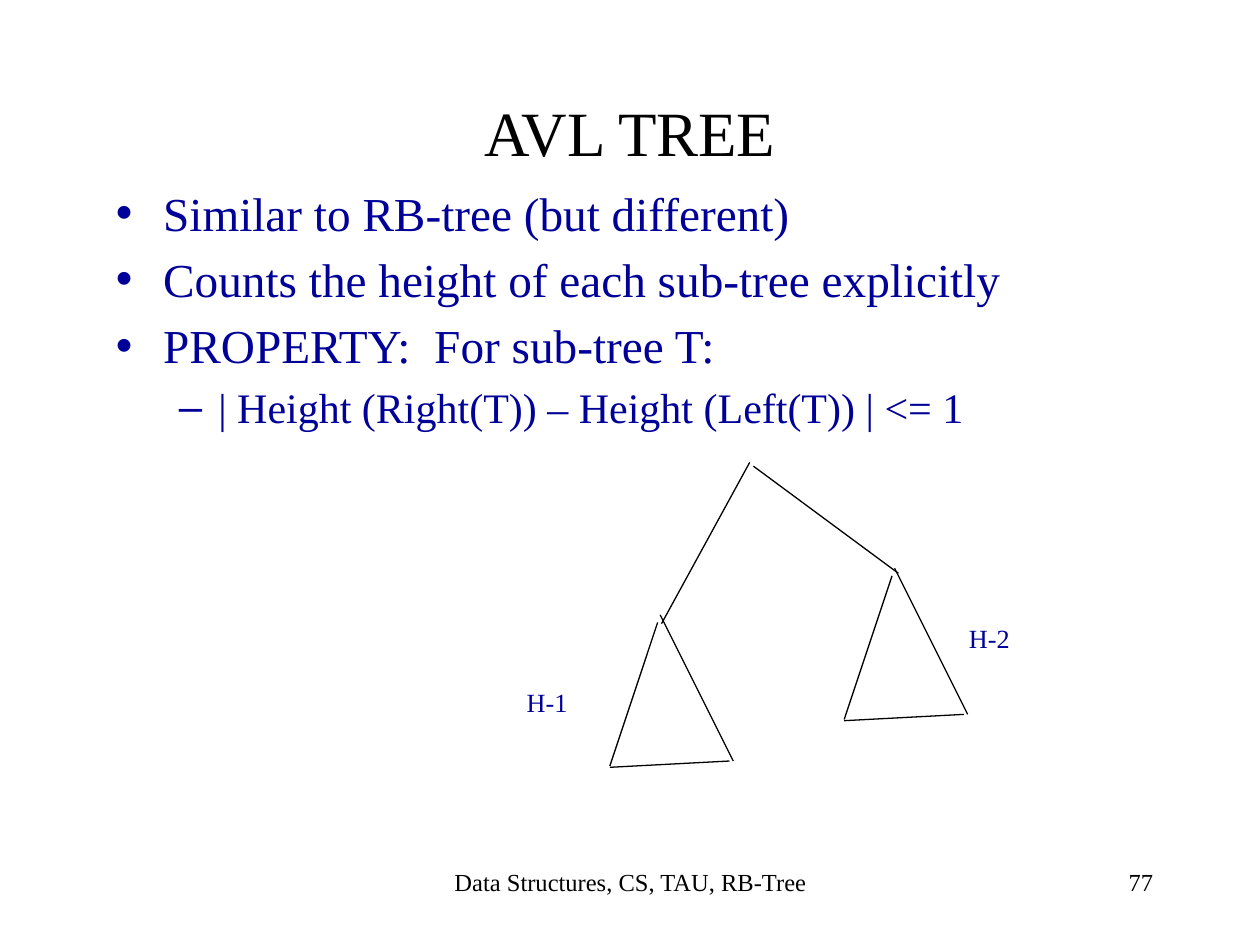
from lxml.etree import SubElement
from pptx import Presentation
from pptx.dml.color import RGBColor
from pptx.enum.shapes import MSO_CONNECTOR
from pptx.enum.text import MSO_ANCHOR, MSO_AUTO_SIZE, PP_ALIGN
from pptx.oxml.ns import qn
from pptx.util import Inches, Pt

BLACK = RGBColor(0x00, 0x00, 0x00)
NAVY = RGBColor(0x00, 0x00, 0x99)
FONT = "Times New Roman"

deck = Presentation()
deck.slide_width, deck.slide_height = Inches(10), Inches(7.5)
slide = deck.slides.add_slide(deck.slide_layouts[1])


def place(box, left, top, width, height):
    box.left, box.top = Inches(left), Inches(top)
    box.width, box.height = Inches(width), Inches(height)
    box.text_frame.word_wrap = True
    box.text_frame.auto_size = MSO_AUTO_SIZE.NONE


def write(paragraph, text, size, color, align=PP_ALIGN.LEFT):
    paragraph.text = text
    paragraph.alignment = align
    paragraph.font.name = FONT
    paragraph.font.size = Pt(size)
    paragraph.font.color.rgb = color


# Title and bullets
title = slide.shapes.title
place(title, 0.75, 0.42, 8.5, 1.25)
title.text_frame.vertical_anchor = MSO_ANCHOR.MIDDLE
write(title.text_frame.paragraphs[0], "AVL TREE", 36, BLACK, PP_ALIGN.CENTER)

properties = slide.placeholders[1]
place(properties, 0.82, 1.41, 8.43, 2.9)
bullets = [
    ("Similar to RB-tree (but different)", 0, 27),
    ("Counts the height of each sub-tree explicitly", 0, 27),
    ("PROPERTY:  For sub-tree T:", 0, 27),
    ("| Height (Right(T)) – Height (Left(T)) | <= 1", 1, 24),
]
for index, (text, level, size) in enumerate(bullets):
    frame = properties.text_frame
    bullet = frame.add_paragraph() if index else frame.paragraphs[0]
    bullet.level = level
    write(bullet, text, size, NAVY)

# Tree: two branches from the root, and the same triangle under each
branches = [((5.25, 4.95), (5.95, 3.67)), ((7.13, 4.55), (5.98, 3.7))]
triangle = [
    ((5.22, 4.94), (4.84, 6.08)),
    ((5.24, 4.88), (5.82, 6.04)),
    ((5.79, 6.04), (4.84, 6.09)),
]
subtree_offsets = [(0, 0), (1.86, -0.37)]
edges = branches + [
    tuple((x + dx, y + dy) for x, y in side)
    for dx, dy in subtree_offsets
    for side in triangle
]
for start, end in edges:
    edge = slide.shapes.add_connector(
        MSO_CONNECTOR.STRAIGHT, *(Inches(v) for v in start + end)
    )
    edge.line.color.rgb = BLACK
    edge.line.width = Pt(0.75)
    SubElement(edge._element.spPr, qn("a:effectLst"))

# Subtree heights
for text, left, top in [("H-2", 7.62, 4.9), ("H-1", 4.11, 5.41)]:
    height_label = slide.shapes.add_textbox(0, 0, 0, 0)
    place(height_label, left, top, 0.65, 0.33)
    frame = height_label.text_frame
    frame.margin_left = frame.margin_right = Inches(0.07)
    frame.margin_top = frame.margin_bottom = Inches(0.04)
    write(frame.paragraphs[0], text, 15, NAVY)

# Footer and slide number
for text, left, width, align in [
    ("Data Structures, CS, TAU, RB-Tree", 3.42, 3.17, PP_ALIGN.CENTER),
    ("77", 7.17, 2.08, PP_ALIGN.RIGHT),
]:
    footer = slide.shapes.add_textbox(0, 0, 0, 0)
    place(footer, left, 6.83, width, 0.5)
    write(footer.text_frame.paragraphs[0], text, 14, BLACK, align)

deck.save("out.pptx")
